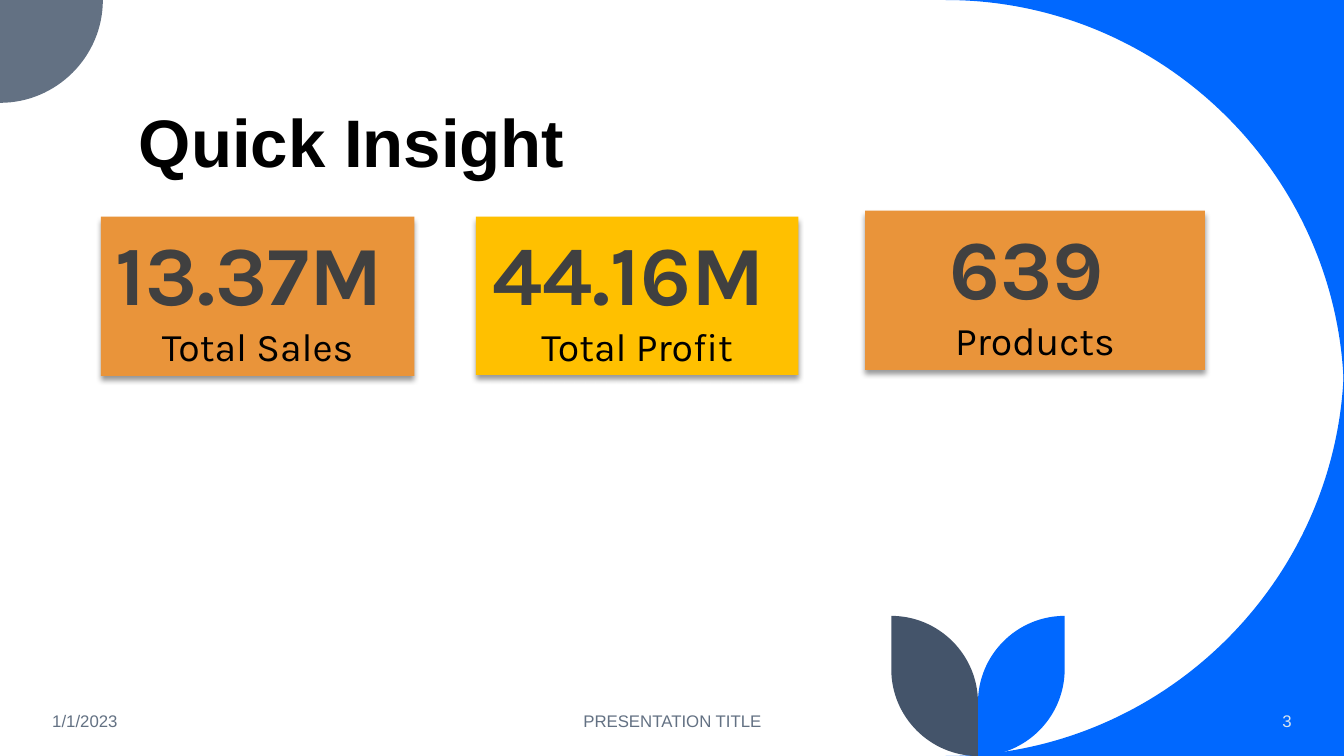
from lxml import etree
from pptx import Presentation
from pptx.dml.color import RGBColor
from pptx.enum.shapes import MSO_SHAPE
from pptx.enum.text import MSO_ANCHOR, MSO_AUTO_SIZE, PP_ALIGN
from pptx.oxml.ns import qn
from pptx.util import Inches, Pt

BLUE = RGBColor(0x00, 0x68, 0xFF)
SLATE = RGBColor(0x63, 0x71, 0x83)
NAVY = RGBColor(0x44, 0x54, 0x6A)
PALE = RGBColor(0xDA, 0xE5, 0xEF)
ORANGE = RGBColor(0xE9, 0x94, 0x3A)
GOLD = RGBColor(0xFF, 0xC0, 0x00)
CHARCOAL = RGBColor(0x40, 0x40, 0x40)
BLACK = RGBColor(0x00, 0x00, 0x00)
ROUNDNESS = 0.55


def toward(point, corner):
    return tuple(a + ROUNDNESS * (b - a) for a, b in zip(point, corner))


def bend(line, start, corner, end, origin):
    line.tag = qn("a:cubicBezTo")
    for pt in list(line):
        line.remove(pt)
    for point in (toward(start, corner), toward(end, corner), end):
        x, y = (Inches(v) - Inches(o) for v, o in zip(point, origin))
        etree.SubElement(line, qn("a:pt"), x=str(x), y=str(y))


def add_outline(shapes, points, corners, color):
    emu = [(Inches(x), Inches(y)) for x, y in points]
    builder = shapes.build_freeform(*emu[0])
    builder.add_line_segments(emu[1:], close=True)
    sp = builder.convert_to_shape()
    sp.shadow.inherit = False
    sp.fill.solid()
    sp.fill.fore_color.rgb = color
    sp.line.fill.background()
    origin = [min(values) for values in zip(*points)]
    lines = list(sp._element.iter(qn("a:lnTo")))
    for i, corner in corners.items():
        bend(lines[i], points[i], corner, points[i + 1], origin)


def add_run(p, text, size, color, font="Arial", bold=False):
    r = p.add_run()
    r.text = text
    r.font.size = Pt(size)
    r.font.name = font
    r.font.bold = bold
    r.font.color.rgb = color


def add_text(s, box, text, size, color, align=PP_ALIGN.LEFT,
             anchor=MSO_ANCHOR.MIDDLE, bold=False, spacing=1.0):
    tf = s.shapes.add_textbox(*map(Inches, box)).text_frame
    tf.word_wrap = True
    tf.vertical_anchor = anchor
    p = tf.paragraphs[0]
    p.alignment = align
    p.line_spacing = spacing
    add_run(p, text, size, color, bold=bold)


def add_soft_shadow(sp):
    sp.shadow.inherit = False
    effects = sp._element.spPr.find(qn("a:effectLst"))
    shadow = etree.SubElement(effects, qn("a:outerShdw"), blurRad=str(Pt(4)),
                              dist=str(Pt(3)), dir="5400000", rotWithShape="0")
    color = etree.SubElement(shadow, qn("a:srgbClr"), val=str(BLACK))
    etree.SubElement(color, qn("a:alpha"), val="40000")


def add_card(s, box, color, value, label):
    sp = s.shapes.add_shape(MSO_SHAPE.RECTANGLE, *map(Inches, box))
    add_soft_shadow(sp)
    sp.fill.solid()
    sp.fill.fore_color.rgb = color
    sp.line.fill.background()
    tf = sp.text_frame
    tf.word_wrap = True
    tf.auto_size = MSO_AUTO_SIZE.SHAPE_TO_FIT_TEXT
    tf.vertical_anchor = MSO_ANCHOR.TOP
    p = tf.paragraphs[0]
    p.alignment = PP_ALIGN.CENTER
    add_run(p, value, 60, CHARCOAL, "Karla", bold=True)
    add_run(p, " ", 44, BLACK)
    p = tf.add_paragraph()
    p.alignment = PP_ALIGN.CENTER
    add_run(p, label, 28, BLACK, "Karla")


def add_leaf(shapes, tip, color):
    stem, top, bottom = 9.7, 6.11, 7.5
    points = [(tip, top), (tip, 6.64), (stem, bottom), (stem, 6.97), (tip, top)]
    add_outline(shapes, points, {1: (tip, bottom), 3: (stem, top)}, color)


def add_decoration(s):
    right, bottom, inner = 13.33, 7.5, 9.38
    for edge, middle in ((0, 3.95), (bottom, 3.55)):
        points = [(right, edge), (inner, edge), (right, middle)]
        add_outline(s.shapes, points, {1: (right, edge)}, BLUE)
    add_outline(s.shapes, [(0, 0), (1.02, 0), (0, 1.02)], {1: (1.02, 1.02)}, SLATE)
    plant = s.shapes.add_group_shape()
    add_leaf(plant.shapes, 10.56, BLUE)
    add_leaf(plant.shapes, 8.84, NAVY)


def main():
    prs = Presentation()
    prs.slide_width, prs.slide_height = Inches(13.33), Inches(7.5)
    s = prs.slides.add_slide(prs.slide_layouts[6])
    add_decoration(s)
    add_text(s, (1.28, 0.41, 10.69, 1.45), "Quick Insight", 48, BLACK,
             anchor=MSO_ANCHOR.BOTTOM, bold=True, spacing=0.9)
    for left, width, text, color, align in (
        (0.42, 3, "1/1/2023", SLATE, PP_ALIGN.LEFT),
        (4.42, 4.5, "PRESENTATION TITLE", SLATE, PP_ALIGN.CENTER),
        (11.1, 1.81, "3", PALE, PP_ALIGN.RIGHT),
    ):
        add_text(s, (left, 6.95, width, 0.4), text, 12, color, align)
    for box, color, value, label in (
        ((4.72, 2.15, 3.2, 1.57), GOLD, "44.16M", "Total Profit"),
        ((8.58, 2.09, 3.37, 1.58), ORANGE, "639", "Products"),
        ((1, 2.15, 3.11, 1.58), ORANGE, "13.37M", "Total Sales"),
    ):
        add_card(s, box, color, value, label)
    prs.save("out.pptx")


if __name__ == "__main__":
    main()
